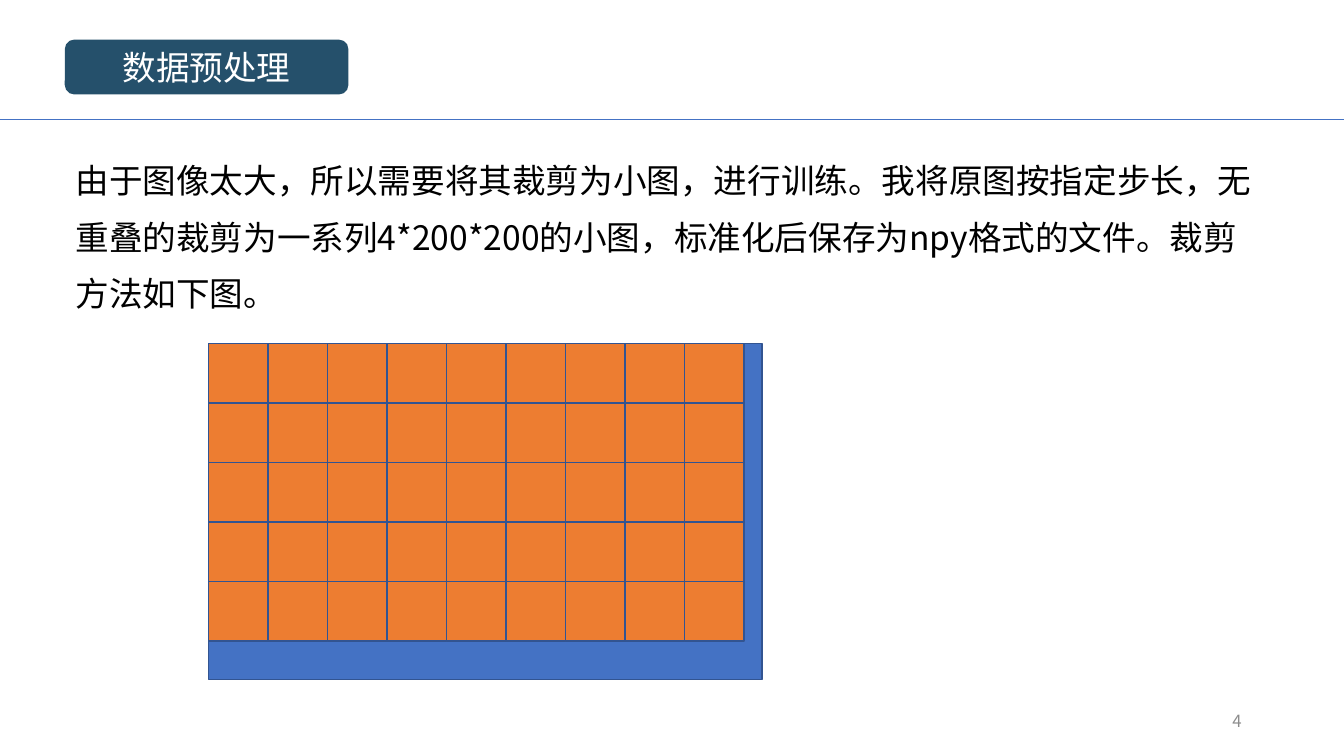
from dataclasses import dataclass

from lxml import etree
from pptx import Presentation
from pptx.dml.color import RGBColor
from pptx.enum import shapes, text
from pptx.oxml import ns
from pptx.util import Pt


@dataclass(frozen=True)
class Theme:
    font: str = "Noto Sans CJK SC"
    title_fill: str = "25506B"
    title_text: str = "FFFFFF"
    body_text: str = "000000"
    page_number: str = "8C8C8C"
    image: str = "4472C4"
    tile: str = "ED7D31"
    outline: str = "325491"
    rule: str = "4472C4"
    text_size: float = 24
    number_size: float = 12


THEME = Theme()
PAGE_WIDTH, PAGE_HEIGHT = 960, 540
MARGIN = 46.8
IMAGE_LEFT, IMAGE_TOP = 149, 245.5
IMAGE_WIDTH, IMAGE_HEIGHT = 395.3, 239.8
TILE_SIZE = 42.48

BODY = (
    "由于图像太大，所以需要将其裁剪为小图，进行训练。"
    "我将原图按指定步长，无重叠的裁剪为一系列4*200*200的小图，"
    "标准化后保存为npy格式的文件。裁剪方法如下图。"
)


def color(value):
    return RGBColor.from_string(value)


def write(box, words, *, fill, size=THEME.text_size, align=text.PP_ALIGN.LEFT,
          anchor=text.MSO_ANCHOR.MIDDLE, spacing=1.0):
    """Put one formatted paragraph into a shape or text box."""
    frame = box.text_frame
    frame.word_wrap = True
    frame.vertical_anchor = anchor
    para = frame.paragraphs[0]
    para.alignment = align
    para.line_spacing = spacing
    span = para.add_run()
    span.text = words
    span.font.name = THEME.font
    span.font.size = Pt(size)
    span.font.color.rgb = color(fill)
    east_asian = etree.SubElement(span.font._element, ns.qn("a:ea"))
    east_asian.set("typeface", THEME.font)


def add_block(page, left, top, width, height, *, fill, outline,
              kind=shapes.MSO_SHAPE.RECTANGLE):
    block = page.shapes.add_shape(kind, Pt(left), Pt(top), Pt(width), Pt(height))
    block.shadow.inherit = False
    block.fill.solid()
    block.fill.fore_color.rgb = color(fill)
    block.line.color.rgb = color(outline)
    block.line.width = Pt(1)
    return block


def add_text(page, left, top, width, height, words, **style):
    box = page.shapes.add_textbox(Pt(left), Pt(top), Pt(width), Pt(height))
    write(box, words, **style)


def add_rule(page, top):
    """Draw a thin line across the whole page."""
    rule = page.shapes.add_connector(
        shapes.MSO_CONNECTOR.STRAIGHT, 0, Pt(top), Pt(PAGE_WIDTH), Pt(top))
    rule.line.color.rgb = color(THEME.rule)
    rule.line.width = Pt(0.5)
    etree.SubElement(rule._element.spPr, ns.qn("a:effectLst"))


def add_tiled_image(page):
    """Draw the large image and the whole tiles that fit in it."""
    add_block(page, IMAGE_LEFT, IMAGE_TOP, IMAGE_WIDTH, IMAGE_HEIGHT,
              fill=THEME.image, outline=THEME.outline)
    for column in range(int(IMAGE_WIDTH // TILE_SIZE)):
        for row in range(int(IMAGE_HEIGHT // TILE_SIZE)):
            add_block(page, IMAGE_LEFT + column * TILE_SIZE,
                      IMAGE_TOP + row * TILE_SIZE, TILE_SIZE, TILE_SIZE,
                      fill=THEME.tile, outline=THEME.outline)


def main():
    deck = Presentation()
    deck.slide_width, deck.slide_height = Pt(PAGE_WIDTH), Pt(PAGE_HEIGHT)
    page = deck.slides.add_slide(deck.slide_layouts[6])

    title = add_block(page, MARGIN, 28.8, 201.6, 38.2, fill=THEME.title_fill,
                      outline=THEME.title_fill,
                      kind=shapes.MSO_SHAPE.ROUNDED_RECTANGLE)
    write(title, "数据预处理", fill=THEME.title_text, align=text.PP_ALIGN.CENTER)
    add_text(page, 678, 500.5, 216, 28.8, "4", fill=THEME.page_number,
             size=THEME.number_size, align=text.PP_ALIGN.RIGHT)
    add_rule(page, 85.5)
    add_text(page, MARGIN, 99.4, 860.4, 129.6, BODY, fill=THEME.body_text,
             anchor=text.MSO_ANCHOR.TOP, spacing=1.4)
    add_tiled_image(page)

    deck.save("out.pptx")


if __name__ == "__main__":
    main()
